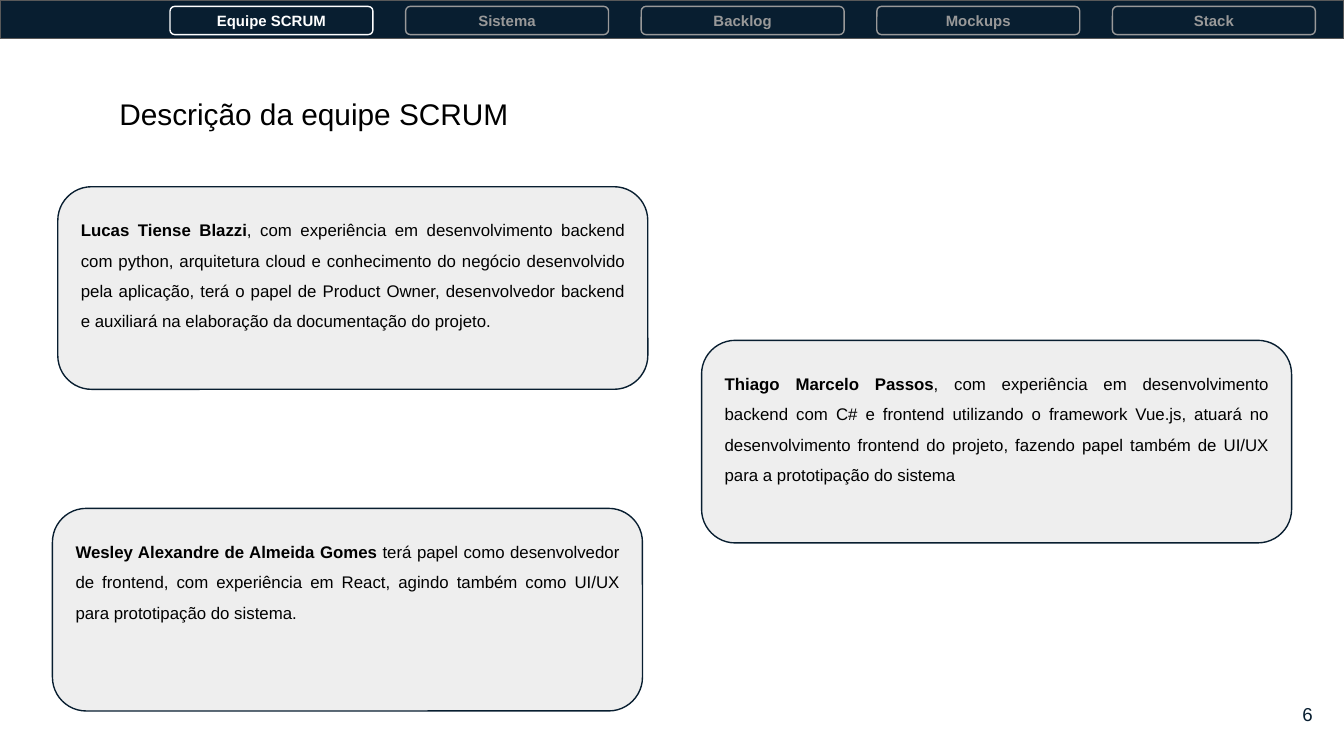
from pptx import Presentation
from pptx.dml.color import RGBColor
from pptx.enum.shapes import MSO_SHAPE
from pptx.enum.text import MSO_ANCHOR, PP_ALIGN
from pptx.util import Inches, Pt

SLIDE_WIDTH = Inches(10)
SLIDE_HEIGHT = SLIDE_WIDTH * 9 // 16
FONT = "Arial"

NAVY = RGBColor(0x08, 0x1E, 0x30)
WHITE = RGBColor(0xFF, 0xFF, 0xFF)
BLACK = RGBColor(0x00, 0x00, 0x00)
MUTED = RGBColor(0x99, 0x99, 0x99)
BORDER = RGBColor(0x59, 0x59, 0x59)
CARD_FILL = RGBColor(0xEE, 0xEE, 0xEE)

TABS = ["Equipe SCRUM", "Sistema", "Backlog", "Mockups", "Stack"]
ACTIVE_TAB = "Equipe SCRUM"
TAB_LEFT, TAB_STEP, TAB_WIDTH = 12.65, 17.53, 15.1
CARD_WIDTH, CARD_HEIGHT = 43.9, 26.8

MEMBERS = [
    (4.3, 24.7, "Lucas Tiense Blazzi",
     ", com experiência em desenvolvimento backend com python, arquitetura cloud "
     "e conhecimento do negócio desenvolvido pela aplicação, terá o papel de "
     "Product Owner, desenvolvedor backend e auxiliará na elaboração da "
     "documentação do projeto."),
    (3.9, 67.25, "Wesley Alexandre de Almeida Gomes ",
     "terá papel como desenvolvedor de frontend, com experiência em React, "
     "agindo também como UI/UX para prototipação do sistema."),
    (52.2, 45.02, "Thiago Marcelo Passos",
     ", com experiência em desenvolvimento backend com C# e frontend utilizando "
     "o framework Vue.js, atuará no desenvolvimento frontend do projeto, fazendo "
     "papel também de UI/UX para a prototipação do sistema"),
]


def place(left, top, width, height):
    return (int(SLIDE_WIDTH * left / 100), int(SLIDE_HEIGHT * top / 100),
            int(SLIDE_WIDTH * width / 100), int(SLIDE_HEIGHT * height / 100))


def add_box(slide, kind, area, line, fill=None):
    shape = slide.shapes.add_shape(kind, *place(*area))
    shape.shadow.inherit = False
    shape.line.color.rgb = line
    shape.line.width = Pt(0.75)
    if fill is None:
        shape.fill.background()
    else:
        shape.fill.solid()
        shape.fill.fore_color.rgb = fill
    return shape


def write(shape, runs, size, color, align, anchor=MSO_ANCHOR.TOP, spacing=None):
    frame = shape.text_frame
    frame.word_wrap = True
    frame.vertical_anchor = anchor
    frame.margin_left = frame.margin_right = Inches(0.1)
    frame.margin_top = frame.margin_bottom = Inches(0.1)
    paragraph = frame.paragraphs[0]
    paragraph.alignment = align
    paragraph.line_spacing = spacing
    for text, bold in runs:
        run = paragraph.add_run()
        run.text = text
        run.font.name = FONT
        run.font.size = Pt(size)
        run.font.bold = bold
        run.font.color.rgb = color


def add_navigation(slide):
    add_box(slide, MSO_SHAPE.RECTANGLE, (0, 0, 100, 5.1), BORDER, NAVY)
    for index, label in enumerate(TABS):
        color = WHITE if label == ACTIVE_TAB else MUTED
        area = (TAB_LEFT + index * TAB_STEP, 0.85, TAB_WIDTH, 3.73)
        tab = add_box(slide, MSO_SHAPE.ROUNDED_RECTANGLE, area, color)
        write(tab, [(label, True)], 8, color, PP_ALIGN.CENTER, MSO_ANCHOR.MIDDLE)


def add_member_card(slide, left, top, name, description):
    area = (left, top, CARD_WIDTH, CARD_HEIGHT)
    card = add_box(slide, MSO_SHAPE.ROUNDED_RECTANGLE, area, NAVY, CARD_FILL)
    write(card, [(name, True), (description, False)], 9, BLACK,
          PP_ALIGN.JUSTIFY, spacing=1.5)


def add_label(slide, area, text, size, color, align, anchor=MSO_ANCHOR.TOP):
    label = slide.shapes.add_textbox(*place(*area))
    write(label, [(text, False)], size, color, align, anchor)


def main():
    presentation = Presentation()
    presentation.slide_width = SLIDE_WIDTH
    presentation.slide_height = SLIDE_HEIGHT
    slide = presentation.slides.add_slide(presentation.slide_layouts[6])
    add_navigation(slide)
    for member in MEMBERS:
        add_member_card(slide, *member)
    add_label(slide, (7.9, 10.84, 34.6, 8.36), "Descrição da equipe SCRUM",
              16, BLACK, PP_ALIGN.LEFT)
    add_label(slide, (92.65, 90.67, 6, 7.64), "6",
              10, NAVY, PP_ALIGN.RIGHT, MSO_ANCHOR.MIDDLE)
    presentation.save("out.pptx")


if __name__ == "__main__":
    main()
